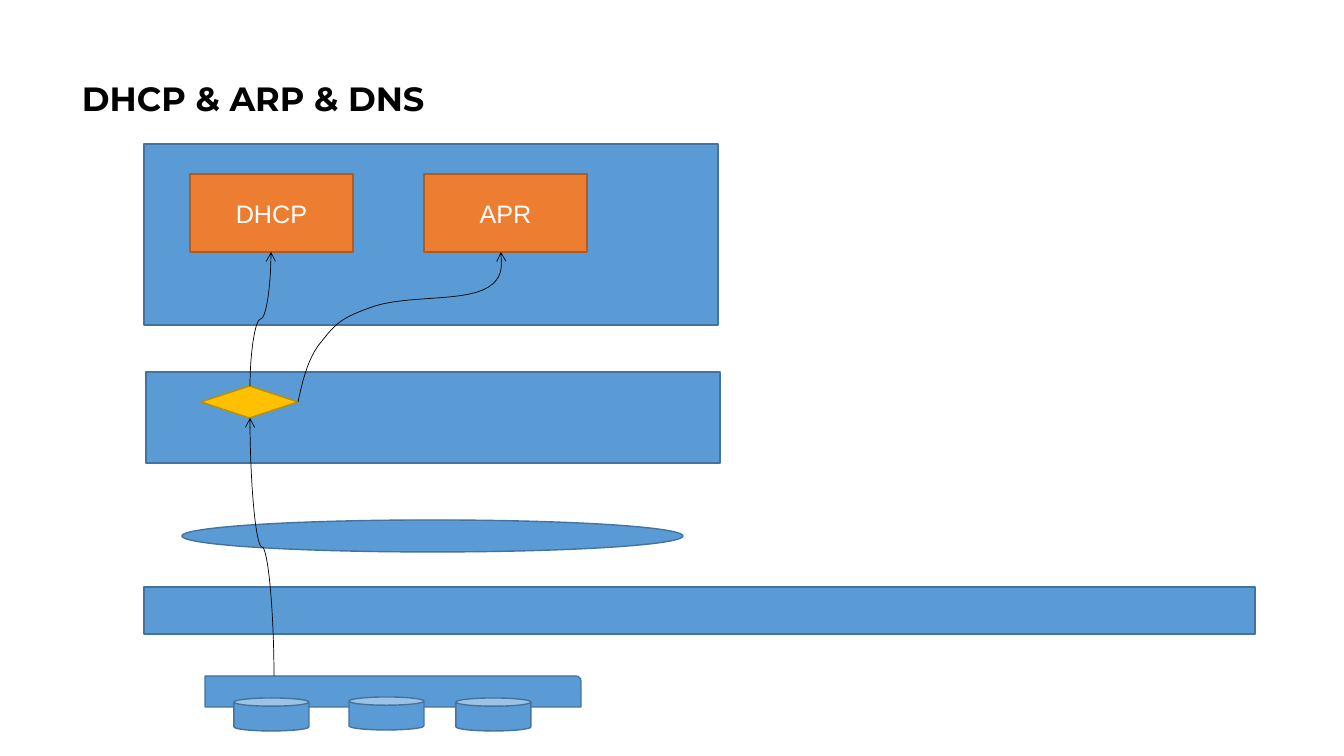
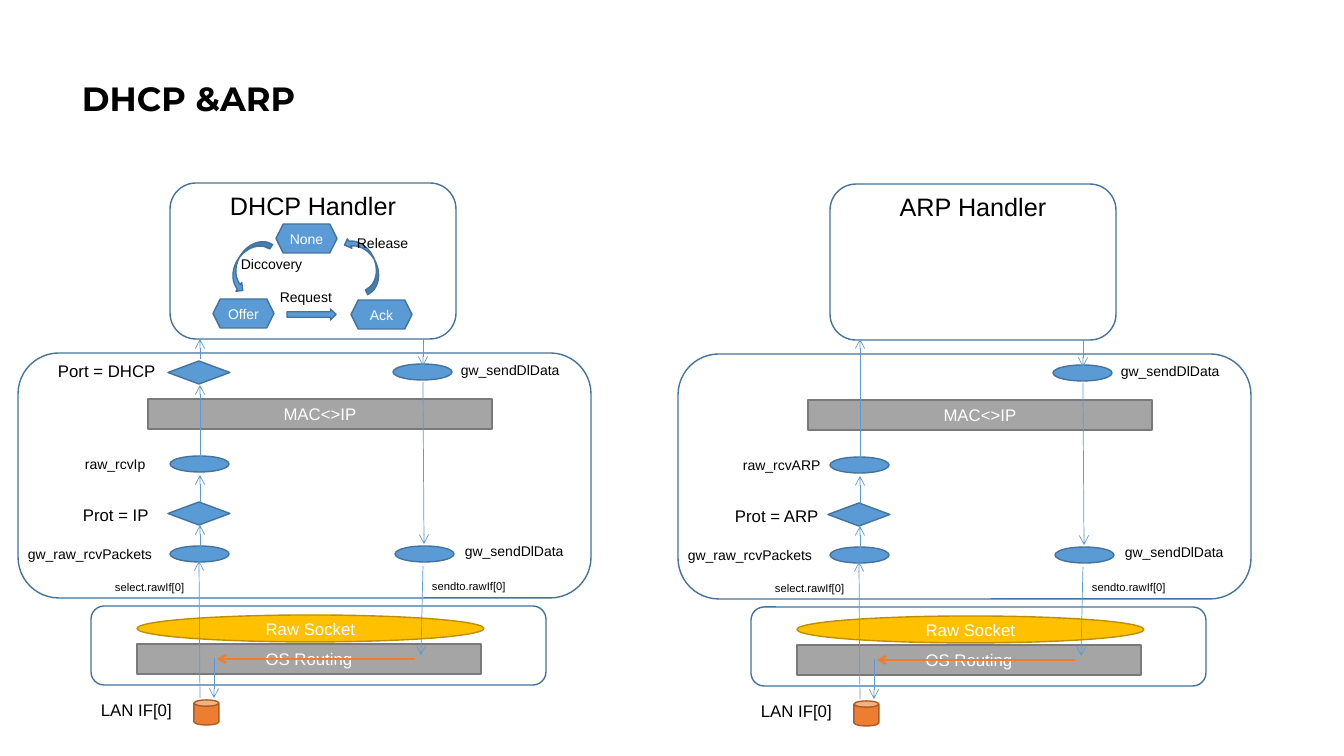
from lxml import etree
from pptx import Presentation
from pptx.dml.color import RGBColor
from pptx.enum.shapes import MSO_CONNECTOR, MSO_SHAPE
from pptx.enum.text import MSO_ANCHOR, PP_ALIGN
from pptx.oxml.ns import qn
from pptx.util import Pt

PIXEL = 914400 / 100.8
COLORS = {"blue": "5B9BD5", "orange": "ED7D31", "gold": "FFC000", "gray": "A5A5A5",
          "black": "000000", "white": "FFFFFF"}
EDGES = {"blue": "43739E", "orange": "AF5C24", "gold": "BD8E00", "gray": "7A7A7A", None: "43739E"}
RECTANGLE, ROUNDED = MSO_SHAPE.RECTANGLE, MSO_SHAPE.ROUNDED_RECTANGLE
ELLIPSE, DIAMOND, CAN = MSO_SHAPE.OVAL, MSO_SHAPE.DIAMOND, MSO_SHAPE.CAN
DECISION, TAB = MSO_SHAPE.FLOWCHART_DECISION, MSO_SHAPE.ROUND_1_RECTANGLE
HEXAGON, RIGHT_ARROW = MSO_SHAPE.HEXAGON, MSO_SHAPE.RIGHT_ARROW
CURVED_ARROW = MSO_SHAPE.CURVED_RIGHT_ARROW
TOP, MIDDLE = MSO_ANCHOR.TOP, MSO_ANCHOR.MIDDLE
STRAIGHT, CURVE = MSO_CONNECTOR.STRAIGHT, MSO_CONNECTOR.CURVE
LEFT, CENTER = PP_ALIGN.LEFT, PP_ALIGN.CENTER


def add_block(shapes, kind, box, fill=None, text="", size=12, color="white",
              anchor=MIDDLE, font="Arial"):
    place = [round(value * PIXEL) for value in box]
    if kind is None:
        shape = shapes.add_textbox(*place)
    else:
        shape = shapes.add_shape(kind, *place)
        shape.shadow.inherit = False
        shape.line.color.rgb = RGBColor.from_string(EDGES[fill])
        shape.line.width = Pt(1)
        if fill:
            shape.fill.solid()
            shape.fill.fore_color.rgb = RGBColor.from_string(COLORS[fill])
        else:
            shape.fill.background()
    if text:
        frame = shape.text_frame
        frame.word_wrap = True
        frame.vertical_anchor = anchor
        paragraph = frame.paragraphs[0]
        paragraph.alignment = LEFT if kind is None else CENTER
        run = paragraph.add_run()
        run.text = text
        run.font.name = font
        run.font.size = Pt(size)
        run.font.color.rgb = RGBColor.from_string(COLORS[color])
    return shape


def style_arrow(arrow, color, width=0.5):
    arrow.line.color.rgb = RGBColor.from_string(COLORS[color])
    arrow.line.width = Pt(width)
    properties = arrow._element.spPr
    etree.SubElement(properties.find(qn("a:ln")), qn("a:tailEnd")).set("type", "arrow")
    etree.SubElement(properties, qn("a:effectLst"))


presentation = Presentation()
presentation.slide_width = round(1344 * PIXEL)
presentation.slide_height = round(756 * PIXEL)
slides = []
for title in ("DHCP & ARP & DNS", "DHCP &ARP"):
    slide = presentation.slides.add_slide(presentation.slide_layouts[6])
    heading = add_block(slide.shapes, None, (72, 28, 1159, 146), text=title, size=24,
                        color="black", font="Montserrat")
    paragraph = heading.text_frame.paragraphs[0]
    paragraph.line_spacing = 0.9
    paragraph.runs[0].font.bold = True
    slides.append(slide)
overview, handlers = slides

for kind, box in (
    (RECTANGLE, (144, 587, 1111, 47)),
    (TAB, (205, 676, 376, 31)),
    (CAN, (234, 698, 75, 33)),
    (CAN, (349, 697, 75, 33)),
    (CAN, (456, 698, 75, 33)),
    (RECTANGLE, (146, 372, 574, 91)),
    (ELLIPSE, (182, 520, 501, 32)),
    (RECTANGLE, (144, 144, 574, 181)),
):
    add_block(overview.shapes, kind, box, "blue")
for left, protocol in ((190, "DHCP"), (424, "APR")):
    add_block(overview.shapes, RECTANGLE, (left, 174, 163, 78), "orange", protocol, 18)
add_block(overview.shapes, DECISION, (201, 386, 97, 32), "gold")

for start_x, start_y, end_x, end_y in ((274, 676, 250, 418), (250, 386, 271, 252)):
    center_x, center_y = (start_x + end_x) / 2, (start_y + end_y) / 2
    reach, drift = (start_y - end_y) / 2, (start_x - end_x) / 2
    ends = (center_x - reach, center_y + drift, center_x + reach, center_y - drift)
    arrow = overview.shapes.add_connector(CURVE, *[round(value * PIXEL) for value in ends])
    arrow._element.spPr.find(qn("a:xfrm")).set("rot", str(270 * 60000))
    style_arrow(arrow, "black")

start = (298, 402)
curve_points = []
for first, second, end in (
    ((301, 390), (306, 359), (322, 341)),
    ((337, 322), (343, 317), (375, 306)),
    ((407, 296), (458, 301), (483, 290)),
    ((508, 279), (500, 259), (501, 252)),
):
    for step in range(1, 13):
        t = step / 12
        weights = ((1 - t) ** 3, 3 * t * (1 - t) ** 2, 3 * t ** 2 * (1 - t), t ** 3)
        curve_points.append([
            round(PIXEL * sum(weight * value for weight, value in zip(weights, values)))
            for values in zip(start, first, second, end)
        ])
    start = end
builder = overview.shapes.build_freeform(round(298 * PIXEL), round(402 * PIXEL))
builder.add_line_segments(curve_points, close=False)
arp_arrow = builder.convert_to_shape()
arp_arrow.fill.background()
style_arrow(arp_arrow, "black")

common_blocks = (
    (DIAMOND, (168, 502, 62, 23), "blue", ""),
    (ELLIPSE, (170, 456, 59, 16), "blue", ""),
    (ELLIPSE, (170, 546, 59, 16), "blue", ""),
    (RECTANGLE, (148, 399, 344, 30), "gray", "MAC<>IP"),
    (ELLIPSE, (393, 364, 59, 16), "blue", ""),
    (ELLIPSE, (395, 546, 59, 16), "blue", ""),
    (ELLIPSE, (137, 615, 347, 27), "gold", "Raw Socket"),
    (RECTANGLE, (137, 644, 344, 30), "gray", "OS Routing"),
    (CAN, (194, 700, 25, 25), "orange", ""),
    (ROUNDED, (18, 353, 573, 245), None, ""),
    (ROUNDED, (91, 606, 455, 79), None, ""),
)
common_labels = (
    ("select.rawIf[0]", (105, 575, 101, 23), 8),
    ("sendto.rawIf[0]", (422, 574, 106, 23), 8),
    ("gw_raw_rcvPackets", (18, 541, 157, 27), 10),
    ("gw_sendDlData", (451, 357, 136, 27), 10),
    ("gw_sendDlData", (455, 538, 136, 27), 10),
    ("LAN IF[0]", (91, 695, 98, 30), 12),
)
common_arrows = (
    (200, 698, 199, 561), (200, 553, 200, 525), (200, 502, 200, 475),
    (423, 339, 423, 366), (423, 566, 421, 655), (423, 382, 424, 544),
    (214, 658, 214, 698),
)
panels = (
    (0, 0, "DHCP Handler",
     (("Prot = IP", (73, 500, 93, 30), 12), ("raw_rcvIp", (75, 451, 94, 27), 10),
      ("Port = DHCP", (48, 356, 126, 30), 12)),
     ((200, 457, 200, 385), (200, 359, 200, 339))),
    (660, 1, "ARP Handler",
     (("Prot = ARP", (65, 500, 111, 30), 12), ("raw_rcvARP", (73, 451, 114, 27), 10)),
     ((200, 457, 200, 338),)),
)
for shift_x, shift_y, name, labels, arrows in panels:
    for kind, (left, top, width, height), fill, text in common_blocks:
        add_block(handlers.shapes, kind, (left + shift_x, top + shift_y, width, height), fill, text)
    handler = add_block(handlers.shapes, ROUNDED, (170 + shift_x, 183 + shift_y, 286, 156),
                        None, name, 18, "black", TOP)
    handler.text_frame.margin_top = 0
    for text, (left, top, width, height), size in common_labels + labels:
        add_block(handlers.shapes, None, (left + shift_x, top + shift_y, width, height),
                  None, text, size, "black", TOP)
    routes = [(ends, "blue", 0.5) for ends in common_arrows + arrows]
    routes.append(((415, 659, 217, 659), "orange", 1.5))
    for (start_x, start_y, end_x, end_y), color, width in routes:
        ends = (start_x + shift_x, start_y + shift_y, end_x + shift_x, end_y + shift_y)
        arrow = handlers.shapes.add_connector(STRAIGHT, *[round(value * PIXEL) for value in ends])
        style_arrow(arrow, color, width)

add_block(handlers.shapes, DIAMOND, (168, 361, 62, 23), "blue")
cycle = handlers.shapes.add_group_shape()
for state, left, top in (("None", 276, 224), ("Offer", 213, 299), ("Ack", 351, 300)):
    hexagon = add_block(cycle.shapes, HEXAGON, (left, top, 61, 29), "blue", state, 10)
    frame = hexagon.text_frame
    frame.margin_left = frame.margin_right = round(4 * PIXEL)
    frame.margin_top = frame.margin_bottom = round(4 * PIXEL)
for kind, box, angle in (
    (CURVED_ARROW, (237, 234, 21, 60), 33),
    (CURVED_ARROW, (354, 233, 21, 60), 155),
    (RIGHT_ARROW, (287, 309, 49, 11), 0),
):
    add_block(cycle.shapes, kind, box, "blue").rotation = angle
for text, box in (
    ("Diccovery", (231, 251, 94, 27)),
    ("Release", (347, 230, 78, 27)),
    ("Request", (270, 284, 80, 27)),
):
    add_block(cycle.shapes, None, box, None, text, 10, "black", TOP)

presentation.save("out.pptx")
